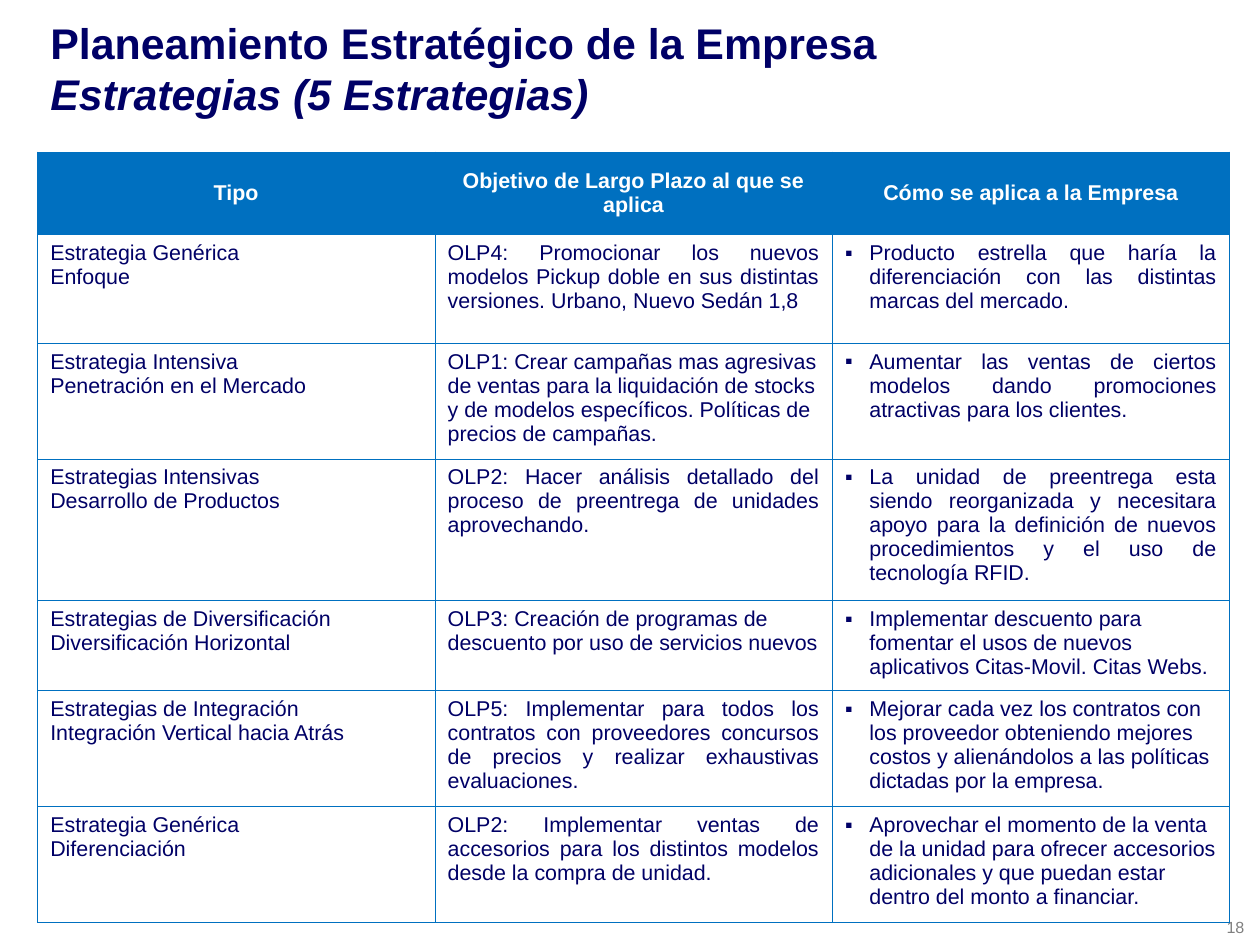
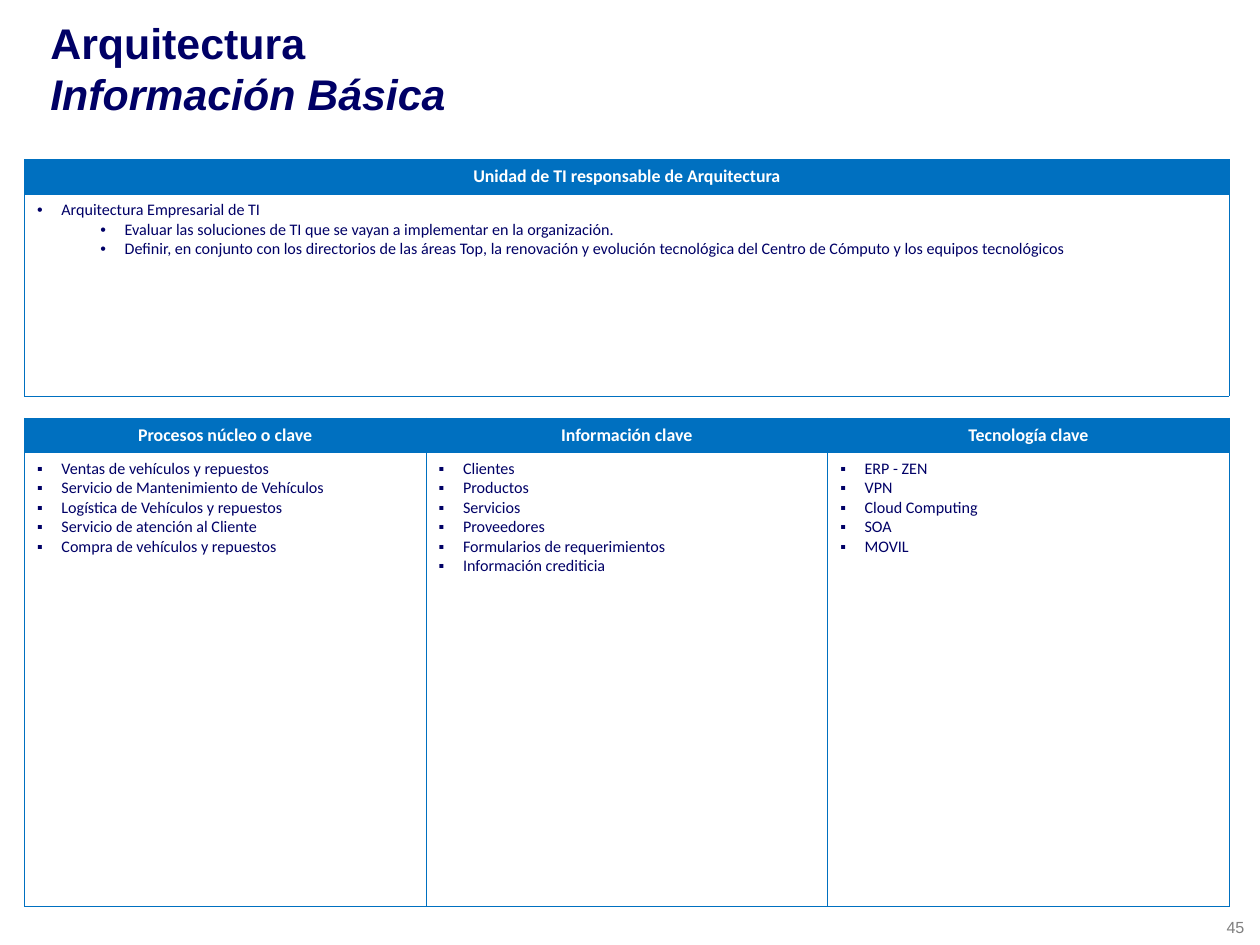
from lxml import etree
from pptx import Presentation
from pptx.dml.color import RGBColor
from pptx.enum.text import MSO_ANCHOR, PP_ALIGN
from pptx.oxml.ns import qn
from pptx.util import Cm, Pt

LEFT, CENTER, JUSTIFY = PP_ALIGN.LEFT, PP_ALIGN.CENTER, PP_ALIGN.JUSTIFY
TOP, MIDDLE = MSO_ANCHOR.TOP, MSO_ANCHOR.MIDDLE
NAVY, BLUE, WHITE, GRAY = "000066", "0070C0", "FFFFFF", "808080"
TITLE_ONLY = 5
HANGING = Cm(0.48)

# alignment, bullet, left margin in cm, level
STYLES = {
    "head": (CENTER, None, 0, 0),
    "plain": (LEFT, None, 0, 0),
    "just": (JUSTIFY, None, 0, 0),
    "square": (LEFT, "▪", 0.48, 0),
    "square_just": (JUSTIFY, "▪", 0.48, 0),
    "dot": (LEFT, "•", 0.48, 0),
    "subdot": (LEFT, "•", 1.73, 1),
}


def style_font(font, **fmt):
    """Set font attributes; color is a hex string."""
    font.color.rgb = RGBColor.from_string(fmt.pop("color"))
    for name, value in fmt.items():
        setattr(font, name, value)


def add_grid(s, left, top, width, heights, rows, font, head_size, body_size):
    """Add a table whose cells are lists of (style, text); row 0 is the header."""
    n_cols = len(rows[0])
    tbl = s.shapes.add_table(len(rows), n_cols, Cm(left), Cm(top),
                             Cm(width), Cm(sum(heights))).table
    for col in tbl.columns:
        col.width = Cm(width / n_cols)
    for i, (row, height) in enumerate(zip(rows, heights)):
        tbl.rows[i].height = Cm(height)
        head = i == 0
        for j, paragraphs in enumerate(row):
            cell = tbl.cell(i, j)
            cell.vertical_anchor = MIDDLE if head else TOP
            cell.fill.solid()
            cell.fill.fore_color.rgb = RGBColor.from_string(BLUE if head else WHITE)
            tcPr = cell._tc.get_or_add_tcPr()
            for k, side in enumerate(("lnL", "lnR", "lnT", "lnB")):
                ln = etree.Element(qn(f"a:{side}"), w=str(Pt(0.25)))
                fill = etree.SubElement(ln, qn("a:solidFill"))
                etree.SubElement(fill, qn("a:srgbClr"), val=BLUE)
                tcPr.insert(k, ln)
            tf = cell.text_frame
            for k, (style, text) in enumerate(paragraphs):
                p = tf.add_paragraph() if k else tf.paragraphs[0]
                p.alignment, bullet, margin, p.level = STYLES[style]
                if bullet:
                    pPr = p._p.get_or_add_pPr()
                    pPr.set("marL", str(Cm(margin)))
                    pPr.set("indent", str(-HANGING))
                    etree.SubElement(pPr, qn("a:buFont"), typeface="Arial")
                    etree.SubElement(pPr, qn("a:buChar"), char=bullet)
                r = p.add_run()
                r.text = text
                style_font(r.font, name=font, bold=head,
                           size=Pt(head_size if head else body_size),
                           color=WHITE if head else NAVY)


prs = Presentation()
prs.slide_width, prs.slide_height = Cm(24.89), Cm(18.67)

# Titles and page numbers
slides = []
for title, subtitle, number in (
    ("Planeamiento Estratégico de la Empresa", "Estrategias (5 Estrategias)", "18"),
    ("Arquitectura", "Información Básica", "45"),
):
    s = prs.slides.add_slide(prs.slide_layouts[TITLE_ONLY])
    slides.append(s)
    sp = s.shapes.title
    sp.left, sp.top, sp.width, sp.height = Cm(0.74), Cm(0.41), Cm(23.55), Cm(1.85)
    tf = sp.text_frame
    tf.vertical_anchor = MIDDLE
    p = tf.paragraphs[0]
    p.alignment = LEFT
    for text, italic in ((title, False), (subtitle, True)):
        if italic:
            p.add_line_break()
        r = p.add_run()
        r.text = text
        style_font(r.font, name="Arial", size=Pt(24), bold=True, italic=italic, color=NAVY)

    tf = s.shapes.add_textbox(Cm(23.98), Cm(18.01), Cm(0.91), Cm(0.64)).text_frame
    tf.word_wrap = False
    r = tf.paragraphs[0].add_run()
    r.text = number
    style_font(r.font, name="Arial", size=Pt(9), color=GRAY)

# Strategies: type, variant, goal style, goal, application style, application
strategies = [
    ("Estrategia Genérica", "Enfoque",
     "just", "OLP4: Promocionar los nuevos modelos Pickup doble en sus distintas "
             "versiones. Urbano, Nuevo Sedán 1,8",
     "square_just", "Producto estrella que haría la diferenciación con las distintas "
                    "marcas del mercado."),
    ("Estrategia Intensiva", "Penetración en el Mercado",
     "plain", "OLP1: Crear campañas mas agresivas de ventas para la liquidación de "
              "stocks y de modelos específicos. Políticas de precios de campañas.",
     "square_just", "Aumentar las ventas de ciertos modelos dando promociones "
                    "atractivas para los clientes."),
    ("Estrategias Intensivas", "Desarrollo de Productos",
     "just", "OLP2: Hacer análisis detallado del proceso de preentrega de unidades "
             "aprovechando.",
     "square_just", "La unidad de preentrega esta siendo reorganizada y necesitara "
                    "apoyo para la definición de nuevos procedimientos y el uso de "
                    "tecnología RFID."),
    ("Estrategias de Diversificación", "Diversificación Horizontal",
     "plain", "OLP3: Creación de programas de descuento por uso de servicios nuevos",
     "square", "Implementar descuento para fomentar el usos de nuevos aplicativos "
               "Citas-Movil. Citas Webs."),
    ("Estrategias de Integración", "Integración Vertical hacia Atrás",
     "just", "OLP5: Implementar para todos los contratos con proveedores concursos "
             "de precios y realizar exhaustivas evaluaciones.",
     "square", "Mejorar cada vez los contratos con los proveedor obteniendo mejores "
               "costos y alienándolos a las políticas dictadas por la empresa."),
    ("Estrategia Genérica", "Diferenciación",
     "just", "OLP2: Implementar ventas de accesorios para los distintos modelos "
             "desde la compra de unidad.",
     "square", "Aprovechar el momento de la venta de la unidad para ofrecer "
               "accesorios adicionales y que puedan estar dentro del monto a financiar."),
]
rows = [[[("head", text)] for text in (
    "Tipo", "Objetivo de Largo Plazo al que se aplica", "Cómo se aplica a la Empresa")]]
for kind, variant, goal_style, goal, use_style, use in strategies:
    rows.append([[("plain", kind), ("plain", variant)],
                 [(goal_style, goal)], [(use_style, use)]])
add_grid(slides[0], 0.74, 3, 23.55, [1.63, 2.15, 2.15, 2.61, 1.68, 2.15, 2.15],
         rows, "Arial", 12, 12)

# Architecture: key elements and responsible unit
key_elements = {
    "Procesos núcleo o clave": [
        "Ventas de vehículos y repuestos", "Servicio de Mantenimiento de Vehículos",
        "Logística de Vehículos y repuestos", "Servicio de atención al Cliente",
        "Compra de vehículos y repuestos"],
    "Información clave": [
        "Clientes", "Productos", "Servicios", "Proveedores",
        "Formularios de requerimientos", "Información crediticia"],
    "Tecnología clave": ["ERP - ZEN", "VPN", "Cloud Computing", "SOA", "MOVIL"],
}
rows = [[[("head", name)] for name in key_elements],
        [[("square", text) for text in items] for items in key_elements.values()]]
add_grid(slides[1], 0.48, 8.26, 23.8, [0.68, 8.97], rows, "Calibri", 10, 9)

rows = [
    [[("head", "Unidad de TI responsable de Arquitectura")]],
    [[("dot", "Arquitectura Empresarial de TI"),
      ("subdot", "Evaluar las soluciones de TI que se vayan a implementar en la "
                 "organización."),
      ("subdot", "Definir, en conjunto con los directorios de las áreas Top, la "
                 "renovación y evolución tecnológica del Centro de Cómputo y los "
                 "equipos tecnológicos")]],
]
add_grid(slides[1], 0.48, 3.15, 23.8, [0.68, 3.99], rows, "Calibri", 10, 9)

prs.save("out.pptx")
